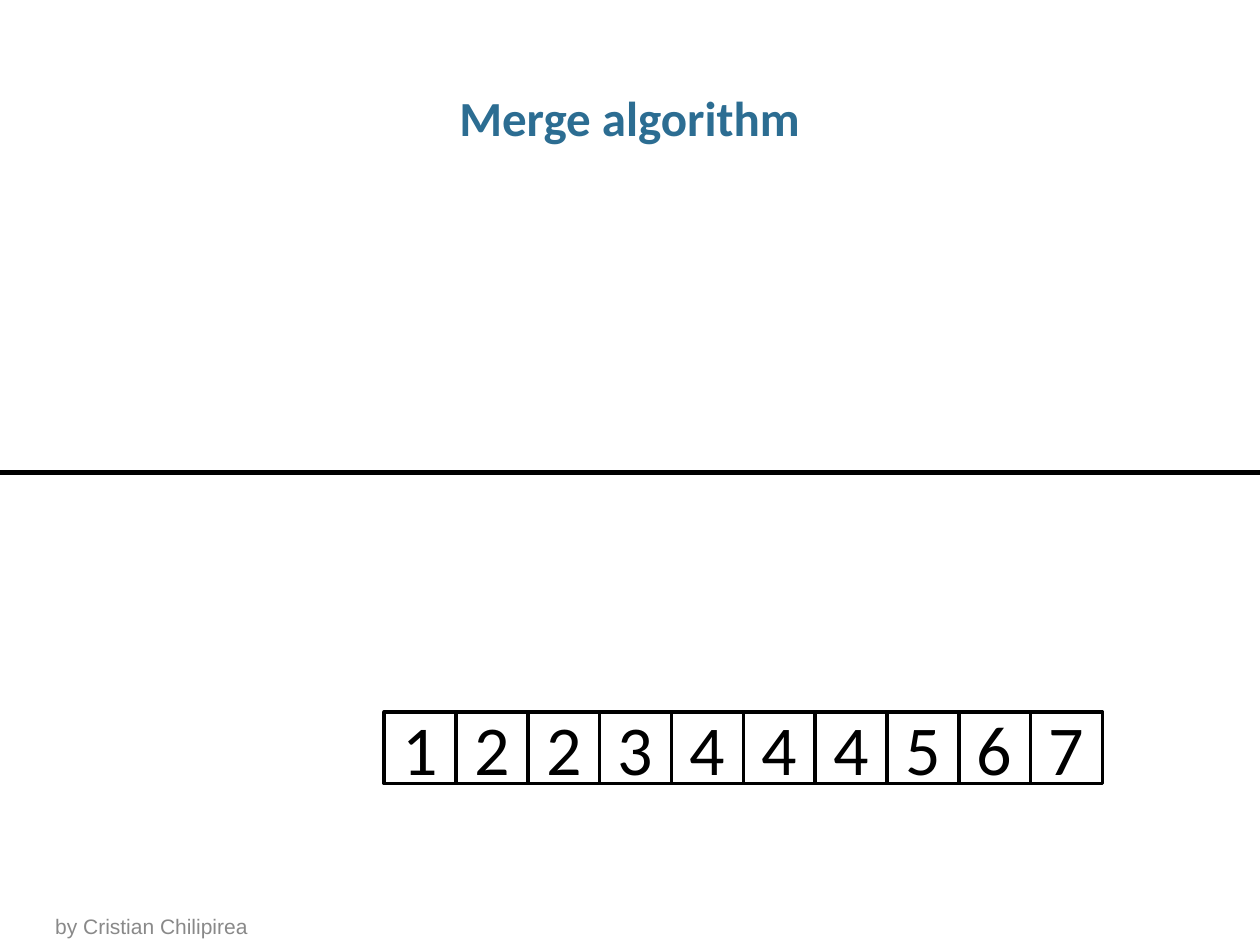
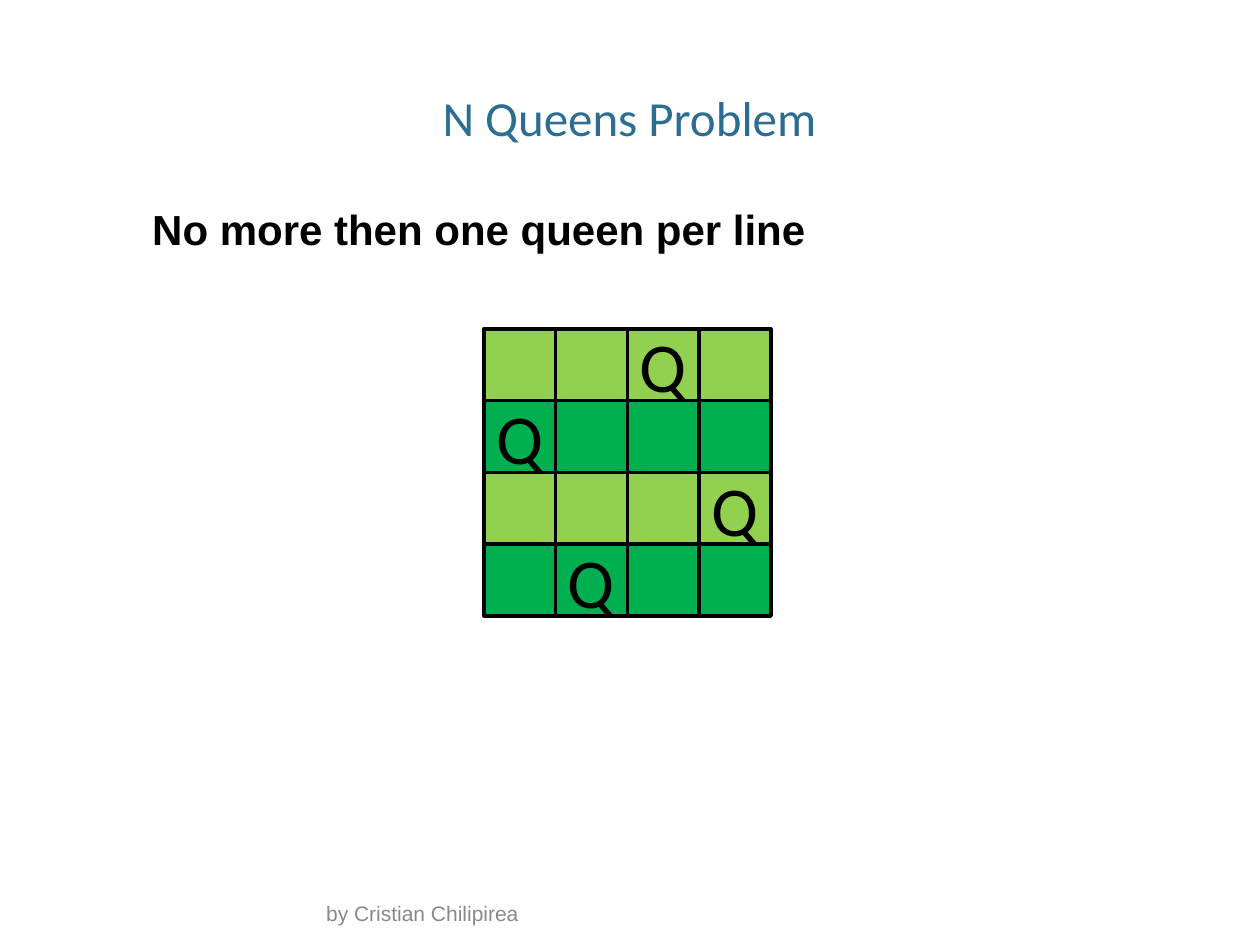
"""Build two algorithm slides: a merged array and a four queens board."""
from lxml import etree
from pptx import Presentation
from pptx import util as u
from pptx.dml.color import RGBColor
from pptx.enum import shapes, text
from pptx.oxml.ns import qn

COLORS = {"ink": "000000", "title": "2C6D92", "footer": "898989",
          "light": "92D050", "dark": "00B050"}
FOOTER = "by Cristian Chilipirea"
MERGED = [1, 2, 2, 3, 4, 4, 4, 5, 6, 7]
RULE = "No more then one queen per line"
BOARD = ["  Q ",
         "Q   ",
         "   Q",
         " Q  "]

PAGE = (720, 540)
CELL = 41.04
MERGED_AT = (219.6, 406.8)
BOARD_AT = (276.48, 187.92)
DIVIDER_Y = 270
TITLE_AREA = (24.5, 49, 670.3, 36)
RULE_AREA = (79.9, 113, 391, 36)


def color(name):
    return RGBColor.from_string(COLORS[name])


def write(frame, words, size, ink, font="Calibri", bold=False):
    para = frame.paragraphs[0]
    para.text = words
    para.font.name = font
    para.font.size = u.Pt(size)
    para.font.bold = bold
    para.font.color.rgb = color(ink)
    return para


def add_text(page, area, words, size, ink, wrap=True, **style):
    frame = page.shapes.add_textbox(*map(u.Pt, area)).text_frame
    frame.word_wrap = wrap
    return frame, write(frame, words, size, ink, **style)


def add_title(page, words, bold=False):
    frame, para = add_text(page, TITLE_AREA, words, 28, "title", bold=bold)
    frame.margin_left = frame.margin_right = 0
    para.alignment = text.PP_ALIGN.CENTER
    para.line_spacing = 0.95


def add_footer(page, area):
    frame, _ = add_text(page, area, FOOTER, 12, "footer", font="Arial")
    frame.vertical_anchor = text.MSO_ANCHOR.BOTTOM


def add_cell(page, origin, row, column, words, fill=None):
    left, top = origin
    box = page.shapes.add_shape(
        shapes.MSO_SHAPE.RECTANGLE, u.Pt(left + column * CELL),
        u.Pt(top + row * CELL), u.Pt(CELL), u.Pt(CELL))
    box.shadow.inherit = False
    if fill:
        box.fill.solid()
        box.fill.fore_color.rgb = color(fill)
    else:
        box.fill.background()
    box.line.color.rgb = color("ink")
    box.line.width = u.Pt(2)
    if words:
        box.text_frame.vertical_anchor = text.MSO_ANCHOR.MIDDLE
        para = write(box.text_frame, words, 40, "ink")
        para.alignment = text.PP_ALIGN.CENTER


def add_divider(page):
    line = page.shapes.add_connector(
        shapes.MSO_CONNECTOR.STRAIGHT, 0, u.Pt(DIVIDER_Y),
        u.Pt(PAGE[0]), u.Pt(DIVIDER_Y))
    line.line.color.rgb = color("ink")
    line.line.width = u.Pt(3)
    etree.SubElement(line._element.spPr, qn("a:effectLst"))


def build_merge(page):
    for column, number in enumerate(MERGED):
        add_cell(page, MERGED_AT, 0, column, str(number))
    add_divider(page)
    add_title(page, "Merge algorithm", bold=True)
    add_footer(page, (24.5, 520, 530.6, 20))


def build_queens(page):
    add_title(page, "N Queens Problem")
    for row, squares in enumerate(BOARD):
        fill = "dark" if row % 2 else "light"
        for column, square in enumerate(squares):
            add_cell(page, BOARD_AT, row, column, square.strip(), fill)
    add_footer(page, (179.3, 515.5, 361.4, 17.3))
    add_text(page, RULE_AREA, RULE, 24, "ink", wrap=False,
             font="Arial", bold=True)


def main():
    deck = Presentation()
    deck.slide_width, deck.slide_height = map(u.Pt, PAGE)
    for build in (build_merge, build_queens):
        build(deck.slides.add_slide(deck.slide_layouts[6]))
    deck.save("out.pptx")


if __name__ == "__main__":
    main()
